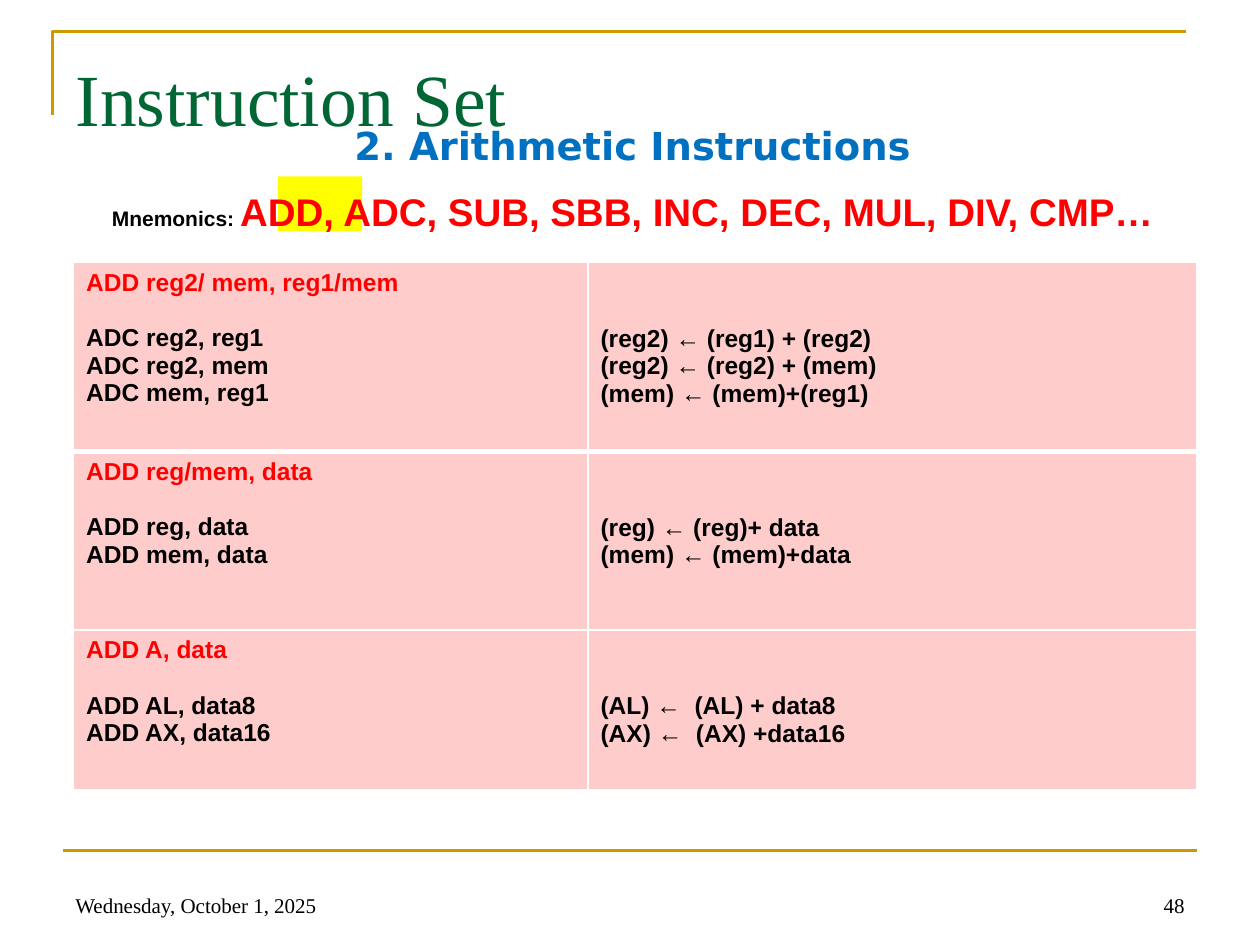
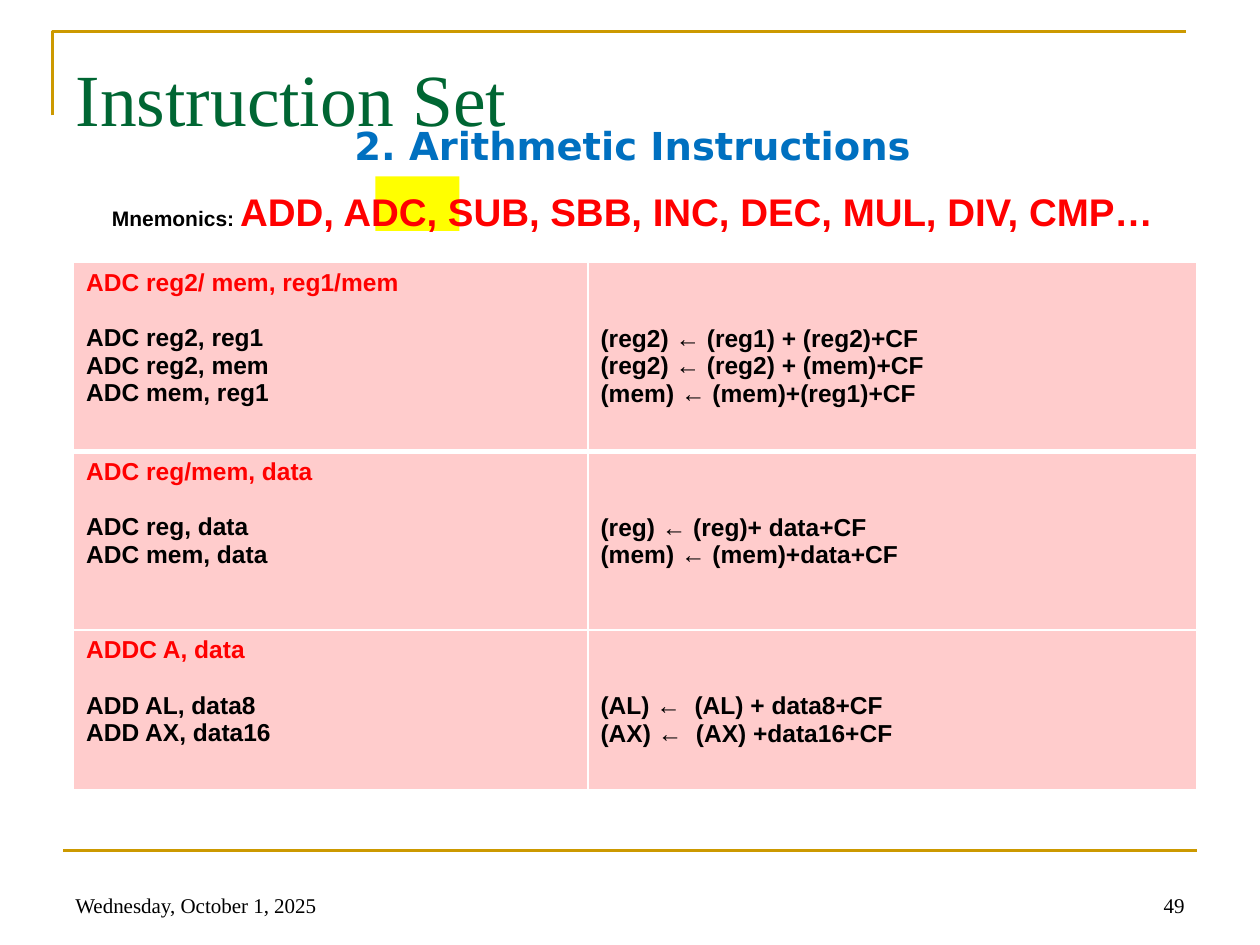
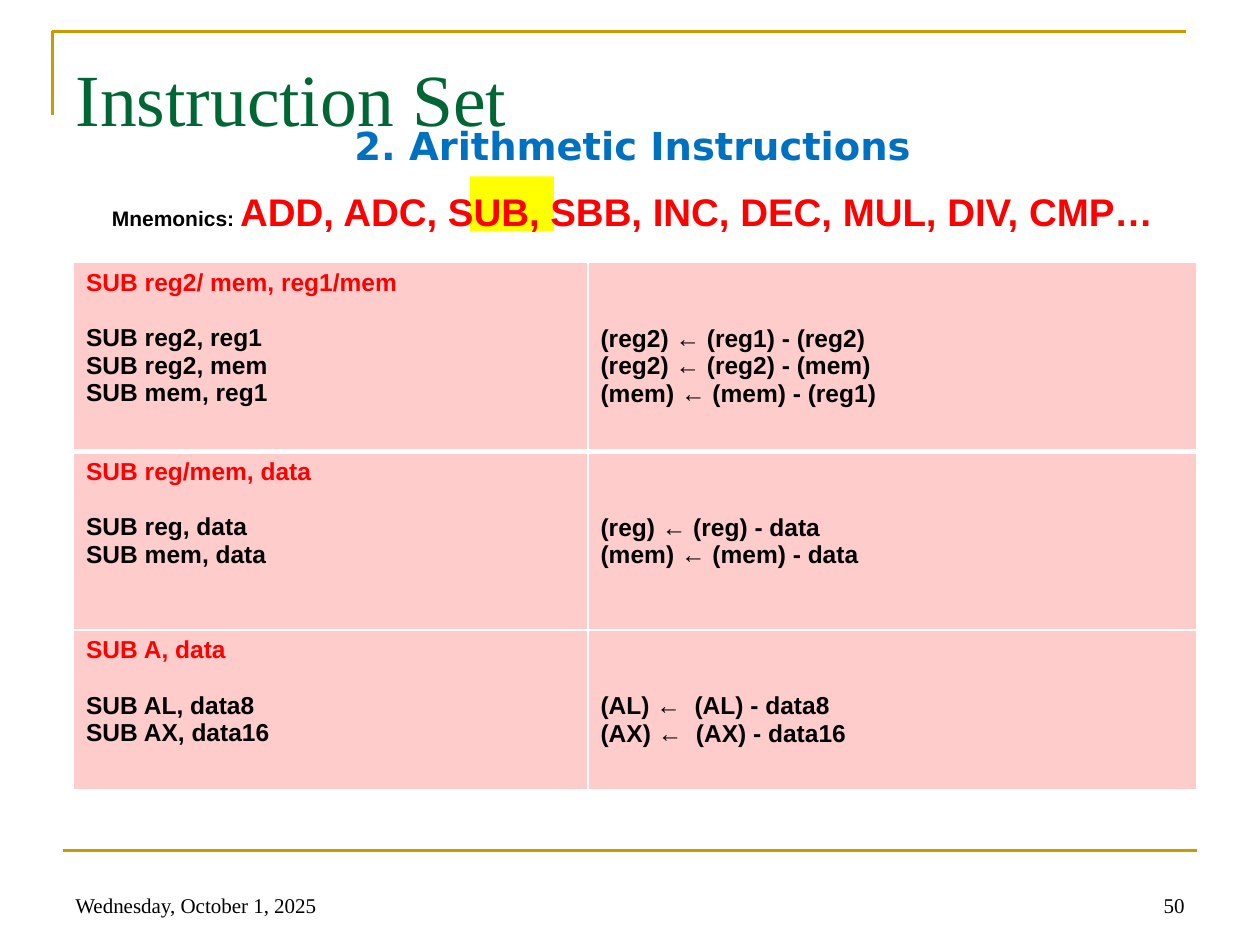
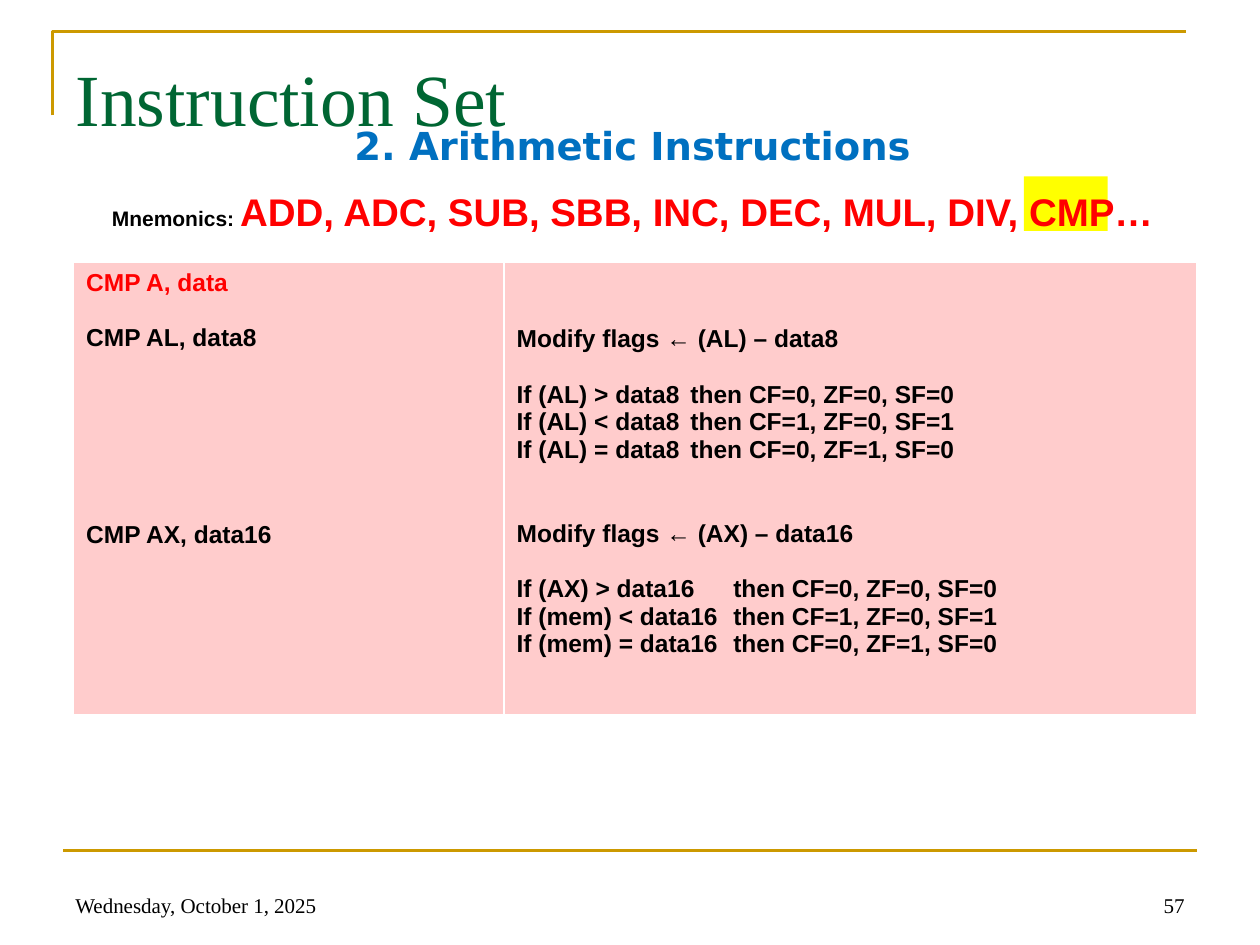
from dataclasses import dataclass

from lxml.etree import SubElement
from pptx import Presentation
from pptx.dml.color import RGBColor
from pptx.enum.shapes import MSO_CONNECTOR, MSO_SHAPE
from pptx.enum.text import MSO_ANCHOR, MSO_AUTO_SIZE, PP_ALIGN
from pptx.oxml.ns import qn
from pptx.util import Inches, Pt

COLUMNS, ROWS = 120, 90
CELL = Inches(10) / COLUMNS  # the grid is square: 10 by 7.5 inches


@dataclass(frozen=True)
class Theme:
    gold: str = "CC9900"
    highlight: str = "FFFF00"
    table_fill: str = "FFCCCC"
    table_border: str = "FFFFFF"
    line_width: float = 1.5
    table_line: float = 16.1  # height of one line of table text, in points

    title = {"size": 42, "name": "Times New Roman", "color": "006633", "bold": False}
    section = {"size": 22, "name": "DejaVu Sans", "color": "0070C0", "bold": True}
    label = {"size": 12, "name": "Arial", "color": "000000", "bold": True}
    mnemonics = {"size": 22, "name": "Arial", "color": "FF0000", "bold": True}
    syntax = {"size": 14, "name": "Arial", "color": "FF0000", "bold": True}
    code = {"size": 14, "name": "Arial", "color": "000000", "bold": True}
    footer = {"size": 12, "name": "Times New Roman", "color": "000000", "bold": False}


THEME = Theme()
TITLE_BOX = (6, 3.6, 108, 15)
SECTION_BOX = (3.5, 11.2, 113.5, 5.2)
MNEMONICS_BOX = (3.5, 17, 113.5, 4.8)
DATE_BOX = (6, 82, 28, 6)
NUMBER_BOX = (86, 82, 28, 6)
TABLE_CORNER = (7, 25)
HIGHLIGHT_TOP, HIGHLIGHT_SIZE = 16.8, (8, 5.2)
THEN_TABS = (1.38, 1.72)  # inches

# In a cell, an empty string stands for one line of space.
ADD_ROWS = [
    (["ADD reg2/ mem, reg1/mem", "", "ADC reg2, reg1", "ADC reg2, mem", "ADC mem, reg1"],
     ["", "", "(reg2) ← (reg1) + (reg2)", "(reg2) ← (reg2) + (mem)", "(mem) ← (mem)+(reg1)"]),
    (["ADD reg/mem, data", "", "ADD reg, data", "ADD mem, data"],
     ["", "", "(reg) ← (reg)+ data", "(mem) ← (mem)+data"]),
    (["ADD A, data", "", "ADD AL, data8", "ADD AX, data16"],
     ["", "", "(AL) ←  (AL) + data8", "(AX) ←  (AX) +data16"]),
]
ADC_ROWS = [
    (["ADC reg2/ mem, reg1/mem", "", "ADC reg2, reg1", "ADC reg2, mem", "ADC mem, reg1"],
     ["", "", "(reg2) ← (reg1) + (reg2)+CF", "(reg2) ← (reg2) + (mem)+CF",
      "(mem) ← (mem)+(reg1)+CF"]),
    (["ADC reg/mem, data", "", "ADC reg, data", "ADC mem, data"],
     ["", "", "(reg) ← (reg)+ data+CF", "(mem) ← (mem)+data+CF"]),
    (["ADDC A, data", "", "ADD AL, data8", "ADD AX, data16"],
     ["", "", "(AL) ←  (AL) + data8+CF", "(AX) ←  (AX) +data16+CF"]),
]
SUB_ROWS = [
    (["SUB reg2/ mem, reg1/mem", "", "SUB reg2, reg1", "SUB reg2, mem", "SUB mem, reg1"],
     ["", "", "(reg2) ← (reg1) - (reg2)", "(reg2) ← (reg2) - (mem)", "(mem) ← (mem) - (reg1)"]),
    (["SUB reg/mem, data", "", "SUB reg, data", "SUB mem, data"],
     ["", "", "(reg) ← (reg) - data", "(mem) ← (mem) - data"]),
    (["SUB A, data", "", "SUB AL, data8", "SUB AX, data16"],
     ["", "", "(AL) ←  (AL) - data8", "(AX) ←  (AX) - data16"]),
]
CMP_ROWS = [
    (["CMP A, data", "", "CMP AL, data8", "", "", "", "", "", "", "CMP AX, data16"],
     ["", "", "Modify flags ← (AL) – data8", "",
      "If (AL) > data8\tthen CF=0, ZF=0, SF=0",
      "If (AL) < data8\tthen CF=1, ZF=0, SF=1",
      "If (AL) = data8\tthen CF=0, ZF=1, SF=0", "", "",
      "Modify flags ← (AX) – data16", "",
      "If (AX) > data16\tthen CF=0, ZF=0, SF=0",
      "If (mem) < data16\tthen CF=1, ZF=0, SF=1",
      "If (mem) = data16\tthen CF=0, ZF=1, SF=0"]),
]

# page number, left column of the highlight, table columns, table rows, table text
WIDE, WIDE_ROWS = (49, 58), (18, 17, 15.25)
SLIDES = [
    (48, 26.5, WIDE, WIDE_ROWS, ADD_ROWS),
    (49, 35.75, WIDE, WIDE_ROWS, ADC_ROWS),
    (50, 44.75, WIDE, WIDE_ROWS, SUB_ROWS),
    (57, 97.5, (41, 66), (43.2,), CMP_ROWS),
]


def grid(*steps):
    return [round(step * CELL) for step in steps]


def add_run(paragraph, text, style):
    run = paragraph.add_run()
    run.text = text
    values = dict(style, size=Pt(style["size"]))
    run.font.color.rgb = RGBColor.from_string(values.pop("color"))
    for name, value in values.items():
        setattr(run.font, name, value)


def add_text(slide, box, runs, alignment=PP_ALIGN.LEFT, **frame_format):
    frame = slide.shapes.add_textbox(*grid(*box)).text_frame
    frame.word_wrap = True
    for name, value in frame_format.items():
        setattr(frame, name, value)
    paragraph = frame.paragraphs[0]
    paragraph.alignment = alignment
    for text, style in runs:
        add_run(paragraph, text, style)


def move_frame_to_layout(slide, layout):
    """Draw the gold lines once and hand them to the shared layout."""
    for placeholder in list(layout.placeholders)[1:]:
        placeholder.element.getparent().remove(placeholder.element)
    builder = slide.shapes.build_freeform(*grid(5, 11))
    builder.add_line_segments([grid(5, 3), grid(113, 3)], close=False)
    corner = builder.convert_to_shape()
    corner.fill.background()
    corner.shadow.inherit = False
    rule = slide.shapes.add_connector(MSO_CONNECTOR.STRAIGHT, *grid(6, 81, 114, 81))
    SubElement(rule.element.spPr, qn("a:effectLst"))
    for shape in (corner, rule):
        shape.line.color.rgb = RGBColor.from_string(THEME.gold)
        shape.line.width = Pt(THEME.line_width)
        layout.shapes.element.append(shape.element)


def add_header(slide, highlight_left):
    marker = slide.shapes.add_shape(
        MSO_SHAPE.RECTANGLE, *grid(highlight_left, HIGHLIGHT_TOP, *HIGHLIGHT_SIZE))
    marker.shadow.inherit = False
    marker.fill.solid()
    marker.fill.fore_color.rgb = RGBColor.from_string(THEME.highlight)
    marker.line.fill.background()

    add_text(slide, SECTION_BOX, [("2. Arithmetic Instructions", THEME.section)],
             PP_ALIGN.CENTER, vertical_anchor=MSO_ANCHOR.MIDDLE)

    title = slide.shapes.title
    title.left, title.top, title.width, title.height = grid(*TITLE_BOX)
    frame = title.text_frame
    frame.vertical_anchor = MSO_ANCHOR.TOP
    frame.auto_size = MSO_AUTO_SIZE.NONE
    frame.margin_top = Inches(0.12)
    frame.paragraphs[0].alignment = PP_ALIGN.LEFT
    add_run(frame.paragraphs[0], "Instruction Set", THEME.title)

    add_text(slide, MNEMONICS_BOX,
             [("Mnemonics: ", THEME.label),
              ("ADD, ADC, SUB, SBB, INC, DEC, MUL, DIV, CMP…", THEME.mnemonics)],
             PP_ALIGN.CENTER, margin_top=Inches(0.08),
             auto_size=MSO_AUTO_SIZE.SHAPE_TO_FIT_TEXT)


def add_footer(slide, page):
    for box, text, alignment in ((DATE_BOX, "Wednesday, October 1, 2025", PP_ALIGN.LEFT),
                                 (NUMBER_BOX, str(page), PP_ALIGN.RIGHT)):
        add_text(slide, box, [(text, THEME.footer)], alignment,
                 vertical_anchor=MSO_ANCHOR.BOTTOM)


def add_tab_stops(paragraph):
    tabs = SubElement(paragraph._p.get_or_add_pPr(), qn("a:tabLst"))
    for position in THEN_TABS:
        SubElement(tabs, qn("a:tab"), pos=str(Inches(position)), algn="l")


def set_borders(cell, is_first_row):
    """Draw white edges, with a heavy one below the first row."""
    widths = {"L": 1, "R": 1}
    if is_first_row:
        widths["T"] = 1
    widths["B"] = 3 if is_first_row else 1
    properties = cell._tc.get_or_add_tcPr()
    for side, width in widths.items():
        edge = SubElement(properties, qn(f"a:ln{side}"), w=str(Pt(width)))
        fill = SubElement(edge, qn("a:solidFill"))
        SubElement(fill, qn("a:srgbClr"), val=THEME.table_border)


def fill_cell(cell, lines):
    """Write the lines, turning empty ones into a margin or space before."""
    gap, is_first, frame = 0, True, cell.text_frame
    for index, text in enumerate(lines):
        if not text:
            gap += THEME.table_line
            continue
        paragraph = frame.paragraphs[0] if is_first else frame.add_paragraph()
        if is_first:
            cell.margin_top = Inches(0.05) + Pt(gap)
        elif gap:
            paragraph.space_before = Pt(gap)
        if "\t" in text:
            add_tab_stops(paragraph)
        add_run(paragraph, text, THEME.syntax if index == 0 else THEME.code)
        gap, is_first = 0, False


def add_instruction_table(slide, columns, rows, content):
    table = slide.shapes.add_table(
        len(rows), len(columns), *grid(*TABLE_CORNER, sum(columns), sum(rows))).table
    table.first_row = table.horz_banding = False
    for column, width in zip(table.columns, grid(*columns)):
        column.width = width
    for row_index, (row, height) in enumerate(zip(table.rows, grid(*rows))):
        row.height = height
        for cell, lines in zip(row.cells, content[row_index]):
            set_borders(cell, row_index == 0)
            cell.fill.solid()
            cell.fill.fore_color.rgb = RGBColor.from_string(THEME.table_fill)
            fill_cell(cell, lines)


def main():
    presentation = Presentation()
    presentation.slide_width, presentation.slide_height = grid(COLUMNS, ROWS)
    layout = presentation.slide_layouts.get_by_name("Title Only")
    for index, (page, highlight_left, columns, rows, content) in enumerate(SLIDES):
        slide = presentation.slides.add_slide(layout)
        if index == 0:
            move_frame_to_layout(slide, layout)
        add_header(slide, highlight_left)
        add_instruction_table(slide, columns, rows, content)
        add_footer(slide, page)
    presentation.save("out.pptx")


if __name__ == "__main__":
    main()
